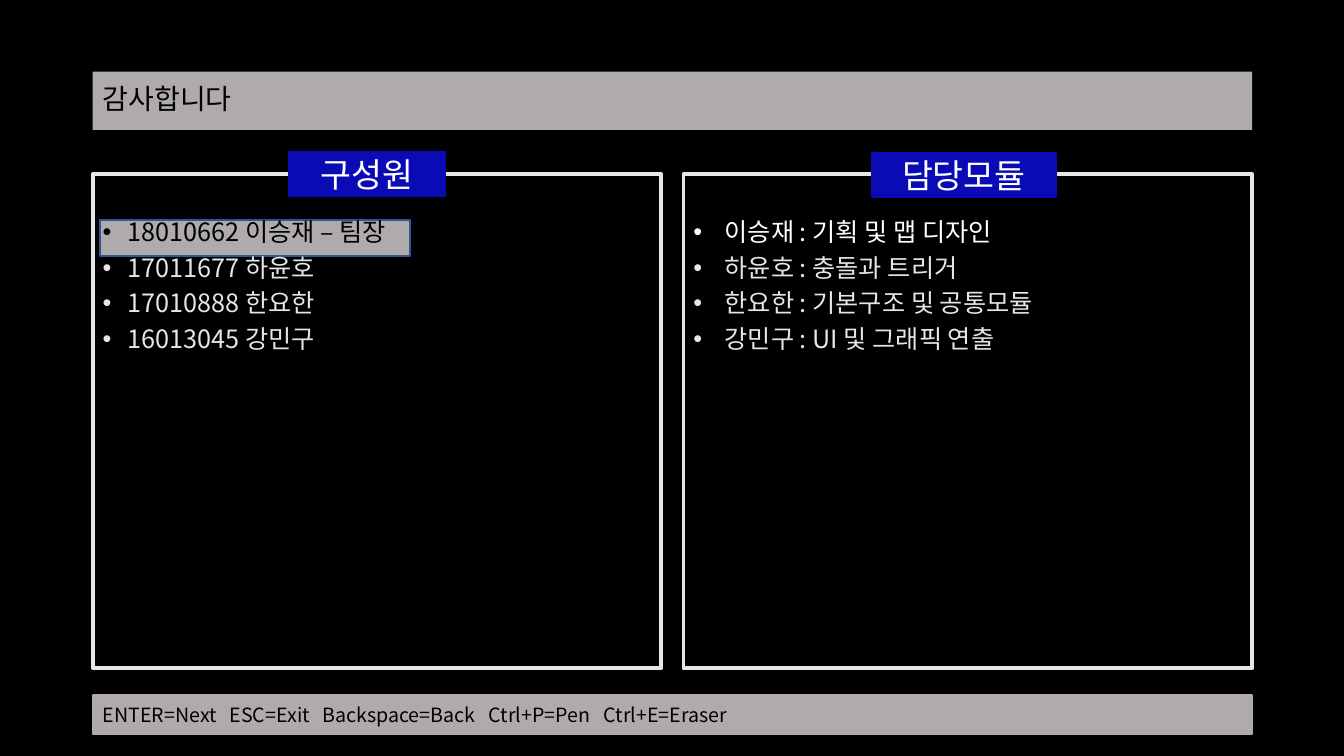
from lxml.etree import SubElement
from pptx import Presentation
from pptx.dml.color import RGBColor
from pptx.enum.shapes import MSO_SHAPE
from pptx.enum.text import MSO_ANCHOR, PP_ALIGN
from pptx.oxml.ns import qn
from pptx.util import Inches, Pt

FONT = "Noto Sans CJK KR"
COLORS = {
    "black": "000000", "white": "FFFFFF", "gray": "AFABAB",
    "light": "E7E6E6", "blue": "0B0BB6", "edge": "325491",
}
LEFT, WIDTH = 0.92, 11.5
PANEL_TOP, PANEL_WIDTH, PANEL_HEIGHT = 1.73, 5.64, 4.9
TAG_HEIGHT = 0.43

MEMBERS = ["18010662 이승재 – 팀장", "17011677 하윤호", "17010888 한요한", "16013045 강민구"]
MODULES = ["이승재 : 기획 및 맵 디자인", "하윤호 : 충돌과 트리거",
           "한요한 : 기본구조 및 공통모듈", "강민구 : UI 및 그래픽 연출"]
SHORTCUTS = ["ENTER=Next", "ESC=Exit", "Backspace=Back", "Ctrl+P=Pen", "Ctrl+E=Eraser"]
SHORTCUT_STOPS = [1.26, 2.18, 3.83, 4.97]


def rgb(name):
    return RGBColor.from_string(COLORS[name])


def add_box(slide, box, fill=None, line=None, line_width=1.5):
    shape = slide.shapes.add_shape(MSO_SHAPE.RECTANGLE, *map(Inches, box))
    shape.shadow.inherit = False
    if fill:
        shape.fill.solid()
        shape.fill.fore_color.rgb = rgb(fill)
    else:
        shape.fill.background()
    if line:
        shape.line.color.rgb = rgb(line)
        shape.line.width = Pt(line_width)
    else:
        shape.line.fill.background()
    return shape


def write(paragraph, text, size, color, **paragraph_format):
    """Fill a paragraph with one styled run."""
    settings = {"alignment": PP_ALIGN.LEFT, **paragraph_format}
    for name, value in settings.items():
        setattr(paragraph, name, value)
    run = paragraph.add_run()
    run.text = text
    for name, value in {"name": FONT, "size": Pt(size)}.items():
        setattr(run.font, name, value)
    run.font.color.rgb = rgb(color)
    SubElement(run.font._element, qn("a:ea"), typeface=FONT)


def add_bullet(paragraph, indent):
    properties = paragraph._p.get_or_add_pPr()
    properties.set("marL", str(Inches(indent)))
    properties.set("indent", str(-Inches(indent)))
    SubElement(properties, qn("a:buFont"), typeface="Arial")
    SubElement(properties, qn("a:buChar"), char="•")


def add_title(slide, box):
    title = add_box(slide, box, "gray")
    title.text_frame.vertical_anchor = MSO_ANCHOR.MIDDLE
    write(title.text_frame.paragraphs[0], "감사합니다", 20, "black", line_spacing=0.9)


def add_shortcut_bar(slide, box):
    bar = add_box(slide, box, "gray", "gray")
    bar.text_frame.vertical_anchor = MSO_ANCHOR.MIDDLE
    paragraph = bar.text_frame.paragraphs[0]
    stops = SubElement(paragraph._p.get_or_add_pPr(), qn("a:tabLst"))
    for stop in SHORTCUT_STOPS:
        SubElement(stops, qn("a:tab"), pos=str(Inches(stop)), algn="l")
    write(paragraph, "\t".join(SHORTCUTS), 14, "black")


def add_panel(slide, box, heading, tag_box, entries, indent, first_color):
    """Framed bullet list with a heading tag across its top edge."""
    frame = add_box(slide, box, line="light", line_width=2.75)
    text = frame.text_frame
    text.vertical_anchor = MSO_ANCHOR.TOP
    text.margin_top = Inches(0.45)
    for index, entry in enumerate(entries):
        paragraph = text.add_paragraph() if index else text.paragraphs[0]
        add_bullet(paragraph, indent)
        write(paragraph, entry, 18, "light" if index else first_color,
              line_spacing=0.9, space_before=Pt(6 if index else 0))

    left, top, width = tag_box
    tag = add_box(slide, (box[0] + left, box[1] + top, width, TAG_HEIGHT), "blue", "blue")
    tag.text_frame.vertical_anchor = MSO_ANCHOR.MIDDLE
    write(tag.text_frame.paragraphs[0], heading, 24, "white", alignment=PP_ALIGN.CENTER)


def main():
    presentation = Presentation()
    presentation.slide_width = Inches(13.33)
    presentation.slide_height = Inches(7.5)
    slide = presentation.slides.add_slide(presentation.slide_layouts[6])
    slide.background.fill.solid()
    slide.background.fill.fore_color.rgb = rgb("black")

    add_shortcut_bar(slide, (LEFT, 6.9, WIDTH, 0.38))
    add_title(slide, (LEFT, 0.71, WIDTH, 0.58))
    add_box(slide, (LEFT + 0.07, PANEL_TOP + 0.45, 3.08, 0.36), "gray", "edge")
    add_panel(slide, (LEFT, PANEL_TOP, PANEL_WIDTH, PANEL_HEIGHT), "구성원",
              (1.95, -0.22, 1.54), MEMBERS, 0.25, "black")
    right = LEFT + WIDTH - PANEL_WIDTH
    add_panel(slide, (right, PANEL_TOP, PANEL_WIDTH, PANEL_HEIGHT), "담당모듈",
              (1.87, -0.21, 1.82), MODULES, 0.31, "white")
    presentation.save("out.pptx")


if __name__ == "__main__":
    main()
